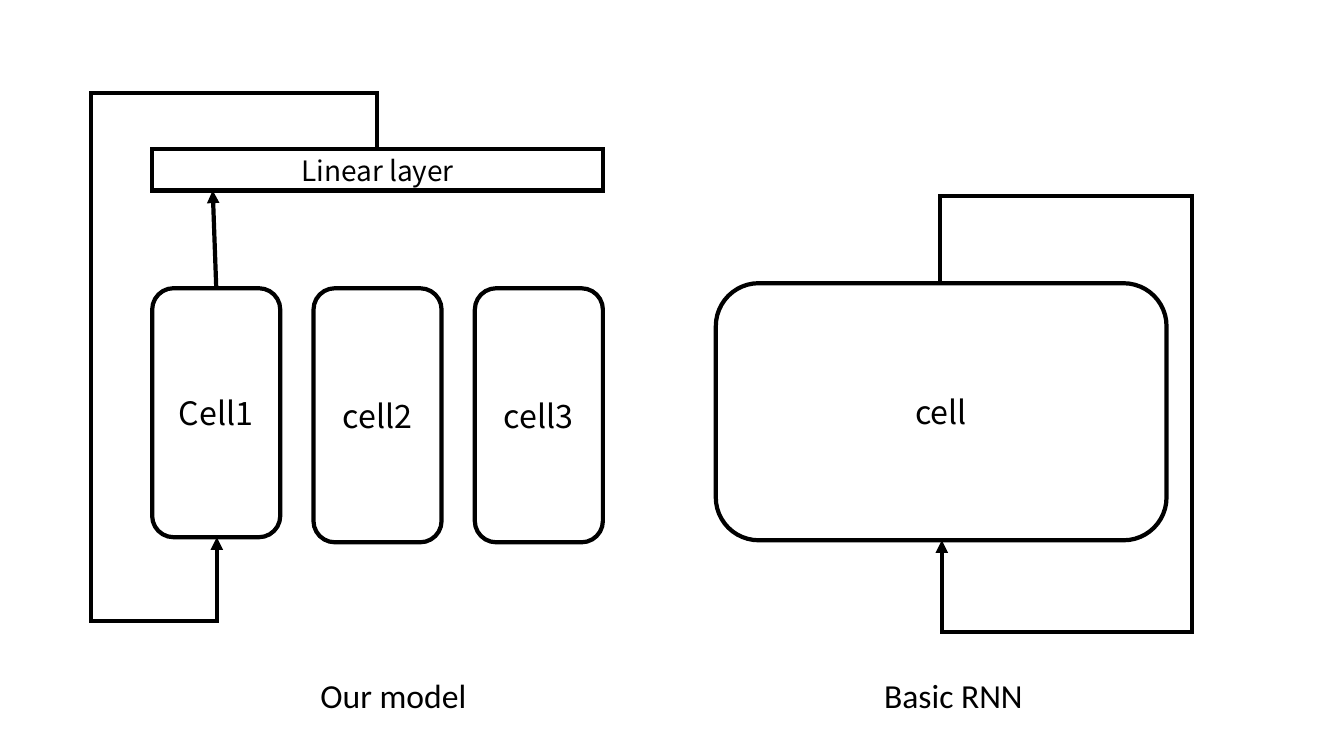
"""Draws a three-cell recurrent model beside a basic RNN."""
from lxml import etree
from pptx import Presentation
from pptx.dml.color import RGBColor
from pptx.enum.shapes import MSO_CONNECTOR, MSO_SHAPE
from pptx.enum.text import MSO_ANCHOR, PP_ALIGN
from pptx.oxml.ns import qn
from pptx.util import Pt

PX = 9144
BLACK = RGBColor(0, 0, 0)
WHITE = RGBColor(255, 255, 255)
BLOCK_FONT = "Noto Sans CJK KR"
CAPTION_FONT = "Calibri"
RECT = MSO_SHAPE.RECTANGLE
ROUNDED = MSO_SHAPE.ROUNDED_RECTANGLE
STRAIGHT = MSO_CONNECTOR.STRAIGHT
ELBOW = MSO_CONNECTOR.ELBOW
CENTER = PP_ALIGN.CENTER
LEFT = PP_ALIGN.LEFT
MIDDLE = MSO_ANCHOR.MIDDLE
TOP_SIDE = 0

CELL_LEFT, CELL_TOP, CELL_WIDTH, CELL_PITCH = 151, 286, 127, 160
CELLS = [("Cell1", 247), ("cell2", 252), ("cell3", 252)]
CAPTIONS = [("Our model", 308, 205), ("Basic RNN", 867, 160)]


def emu(*lengths):
    """Turn px lengths into EMU."""
    return [round(length * PX) for length in lengths]


def write(frame, text, size, font, align):
    """Put one styled run into a text frame."""
    frame.word_wrap = True
    paragraph = frame.paragraphs[0]
    paragraph.alignment = align
    run = paragraph.add_run()
    run.text = text
    run.font.size = Pt(size)
    run.font.name = font
    run.font.color.rgb = BLACK


def style_line(line):
    """Give a line its black 3 pt stroke with sharp corners."""
    line.color.rgb = BLACK
    line.width = Pt(3)
    stroke = line._get_or_add_ln()
    etree.SubElement(stroke, qn("a:miter"), lim="800000")
    return stroke


def add_block(slide, kind, box, text, size=23):
    """Add an outlined block with a centred label."""
    block = slide.shapes.add_shape(kind, *emu(*box))
    block.shadow.inherit = False
    block.fill.solid()
    block.fill.fore_color.rgb = WHITE
    style_line(block.line)
    block.text_frame.vertical_anchor = MIDDLE
    write(block.text_frame, text, size, BLOCK_FONT, CENTER)
    return block


def add_arrow(slide, kind, start, end):
    """Add a connector with a triangular head at its end."""
    arrow = slide.shapes.add_connector(kind, *emu(*start, *end))
    stroke = style_line(arrow.line)
    etree.SubElement(stroke, qn("a:tailEnd"), type="triangle")
    etree.SubElement(arrow._element.spPr, qn("a:effectLst"))
    return arrow


def add_feedback(slide, start, end, top, side, bottom):
    """Add an arrow that leaves upwards, runs down one side and enters from below."""
    (x1, y1), (x2, y2) = start, end
    length, offset = y2 - y1, abs(x2 - x1)
    arrow = add_arrow(slide, ELBOW, start, end)
    arrow.left, arrow.top, arrow.width, arrow.height = emu(
        (x1 + x2 - length) / 2, (y1 + y2 - offset) / 2, length, offset)

    properties = arrow._element.spPr
    transform = properties.find(qn("a:xfrm"))
    transform.set("rot", str(270 * 60000))
    transform.set("flipH", "1")
    transform.set("flipV", "1" if x1 > x2 else "0")

    geometry = properties.find(qn("a:prstGeom"))
    geometry.set("prst", "bentConnector5")
    guides = geometry.find(qn("a:avLst"))
    bends = [(top - y1) / length, (side - x1) / (x2 - x1), (bottom - y1) / length]
    for number, bend in enumerate(bends, 1):
        etree.SubElement(guides, qn("a:gd"), name=f"adj{number}",
                         fmla=f"val {round(bend * 100000)}")


def add_caption(slide, text, left, width):
    """Add a model's name below its diagram."""
    caption = slide.shapes.add_textbox(*emu(left, 665, width, 50))
    write(caption.text_frame, text, 24, CAPTION_FONT, LEFT)


def main():
    """Build and save the slide."""
    deck = Presentation()
    deck.slide_width, deck.slide_height = emu(1333, 750)
    slide = deck.slides.add_slide(deck.slide_layouts[6])

    cells = [
        add_block(slide, ROUNDED,
                  (CELL_LEFT + i * CELL_PITCH, CELL_TOP, CELL_WIDTH, height), name)
        for i, (name, height) in enumerate(CELLS)
    ]
    add_block(slide, ROUNDED, (710, 281, 447, 255), "cell")
    add_block(slide, RECT, (CELL_LEFT, 148, 447, 41), "Linear layer", 20)

    add_feedback(slide, (932, 281), (934, 536), top=194, side=1181, bottom=627)
    add_feedback(slide, (374, 148), (215, 533), top=92, side=90, bottom=616)
    to_linear = add_arrow(slide, STRAIGHT, (215, CELL_TOP), (211, 189))
    to_linear.begin_connect(cells[0], TOP_SIDE)

    for caption in CAPTIONS:
        add_caption(slide, *caption)
    deck.save("out.pptx")


if __name__ == "__main__":
    main()
